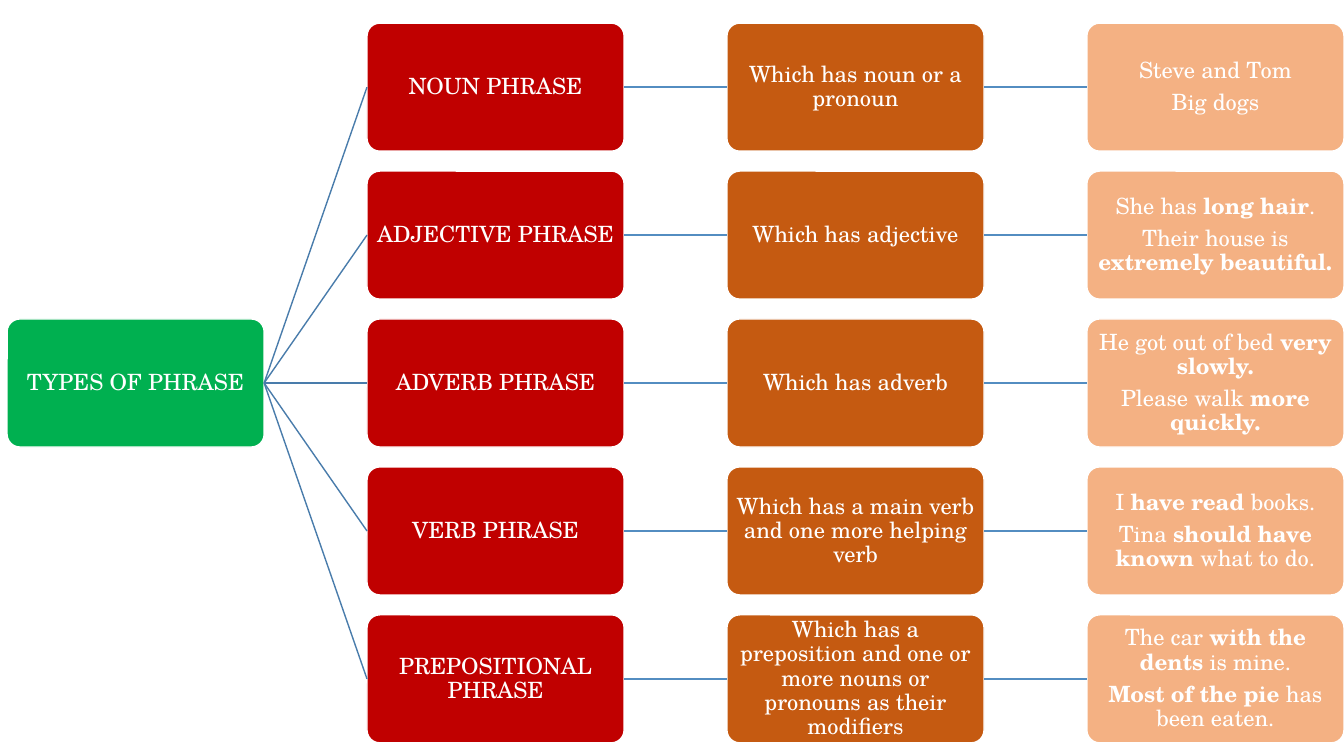
import pptx
import pptx.util
import pptx.dml.color
import pptx.enum.shapes
import pptx.enum.text
from pptx.oxml.ns import qn
from lxml import etree

Inches, Pt = pptx.util.Inches, pptx.util.Pt
RGBColor = pptx.dml.color.RGBColor

GREEN = RGBColor(0x00, 0xB0, 0x50)
RED = RGBColor(0xC0, 0x00, 0x00)
BROWN = RGBColor(0xC5, 0x5A, 0x11)
PEACH = RGBColor(0xF4, 0xB1, 0x83)
WHITE = RGBColor(0xFF, 0xFF, 0xFF)
BRANCH_BLUE = RGBColor(0x49, 0x7C, 0xAB)
LINK_BLUE = RGBColor(0x53, 0x8D, 0xC1)
FONT = "TeX Gyre Schola"

SLIDE_W, SLIDE_H = 13.33, 7.5
BOX_W, BOX_H = 2.55, 1.27
DIAGRAM = (0.07, 0.23, 13.26, 7.14)  # left, top, width, height

# Each row: phrase type, definition, examples (** switches bold on and off)
ROOT = "TYPES OF PHRASE"
ROWS = [
    (["NOUN PHRASE"], ["Which has noun or a pronoun"],
     ["Steve and Tom", "Big dogs"]),
    (["ADJECTIVE PHRASE"], ["Which has adjective"],
     ["She has **long hair**.", "Their house is **extremely beautiful."]),
    (["ADVERB PHRASE"], ["Which has adverb"],
     ["He got out of bed **very slowly.", "Please walk **more quickly."]),
    (["VERB PHRASE"], ["Which has a main verb and one more helping verb"],
     ["I **have read **books.", "Tina **should have known **what to do."]),
    (["PREPOSITIONAL PHRASE"],
     ["Which has a preposition and one or more nouns or pronouns as their modifiers"],
     ["The car **with the dents** is mine.", "**Most of the pie** has been eaten."]),
]


def add_text(tf, lines):
    tf.word_wrap = True
    tf.vertical_anchor = pptx.enum.text.MSO_ANCHOR.MIDDLE
    tf.margin_left = tf.margin_right = Inches(0.05)
    tf.margin_top = tf.margin_bottom = Inches(0.05)
    for i, line in enumerate(lines):
        p = tf.add_paragraph() if i else tf.paragraphs[0]
        p.alignment = pptx.enum.text.PP_ALIGN.CENTER
        p.line_spacing = 0.9
        p.space_after = Pt(5.6)
        for j, part in enumerate(line.split("**")):
            if part:
                r = p.add_run()
                r.text = part
                r.font.name = FONT
                r.font.size = Pt(16)
                r.font.bold = j % 2 == 1
                r.font.color.rgb = WHITE


def add_box(s, x, y, fill, lines):
    sp = s.shapes.add_shape(pptx.enum.shapes.MSO_SHAPE.ROUNDED_RECTANGLE,
                            Inches(x), Inches(y), Inches(BOX_W), Inches(BOX_H))
    sp.adjustments[0] = 0.1
    sp.shadow.inherit = False
    sp.fill.solid()
    sp.fill.fore_color.rgb = fill
    sp.line.color.rgb = WHITE
    sp.line.width = Pt(1)
    add_text(sp.text_frame, lines)
    return sp


def add_link(s, start, end, color):
    """Join the right side of one box to the left side of another."""
    c = s.shapes.add_connector(pptx.enum.shapes.MSO_CONNECTOR.STRAIGHT, 0, 0, 0, 0)
    c.begin_connect(start, 3)
    c.end_connect(end, 1)
    c.line.color.rgb = color
    c.line.width = Pt(1)
    etree.SubElement(c._element.spPr, qn("a:effectLst"))


def add_tree(s, left, top, width, height):
    col_step = (width - BOX_W) / 3
    row_step = (height - BOX_H) / (len(ROWS) - 1)

    # Root, centred on the rows
    root = add_box(s, left, top + (height - BOX_H) / 2, GREEN, [ROOT])

    # One chain of boxes per phrase type
    for i, row in enumerate(ROWS):
        previous, link_color = root, BRANCH_BLUE
        for col, (fill, lines) in enumerate(zip((RED, BROWN, PEACH), row), 1):
            sp = add_box(s, left + col * col_step, top + i * row_step, fill, lines)
            add_link(s, previous, sp, link_color)
            previous, link_color = sp, LINK_BLUE


def main():
    prs = pptx.Presentation()
    prs.slide_width, prs.slide_height = Inches(SLIDE_W), Inches(SLIDE_H)
    s = prs.slides.add_slide(prs.slide_layouts[6])
    add_tree(s, *DIAGRAM)
    prs.save("out.pptx")


if __name__ == "__main__":
    main()
